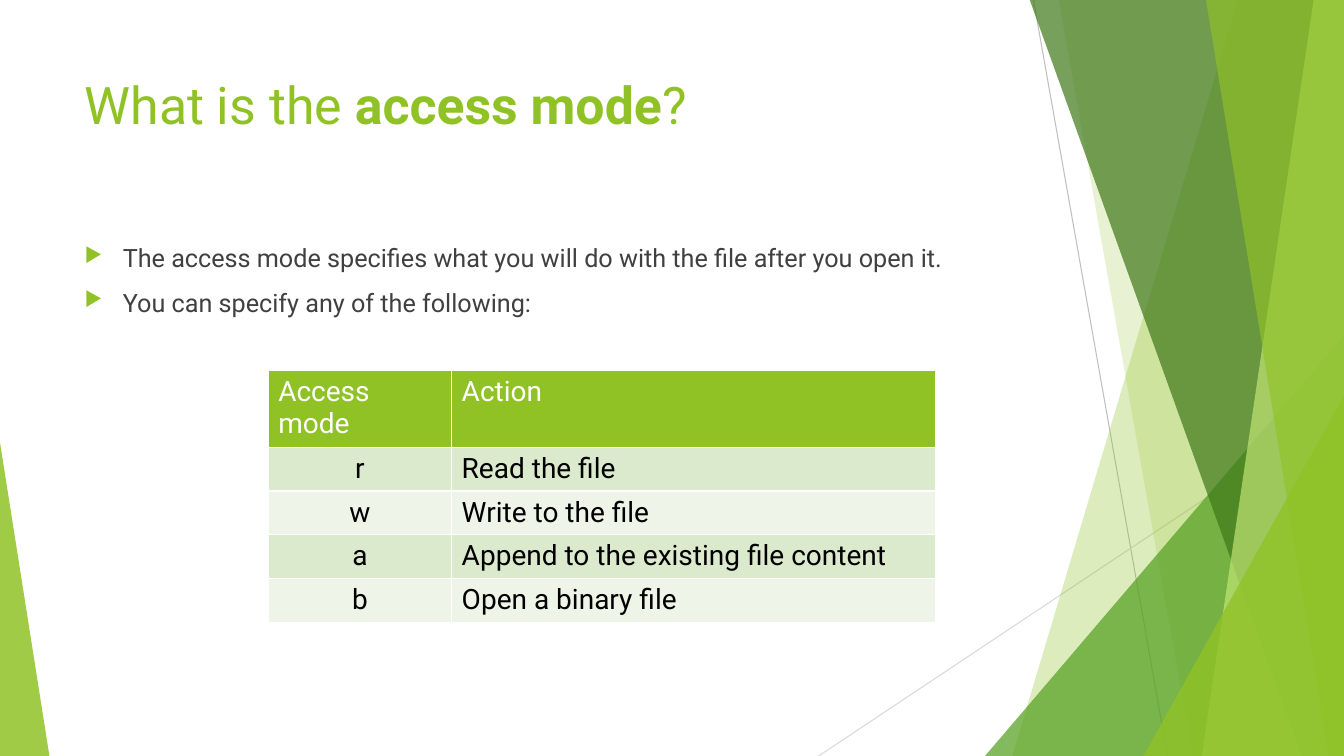
from pptx import Presentation
from pptx.dml.color import RGBColor
from pptx.enum import shapes, text
from pptx.oxml import ns, xmlchemy
from pptx.util import Inches, Pt

FONT = "Roboto"
GREEN = "90C226"
TITLE = [("What is the ", False), ("access mode", True), ("?", False)]
BULLETS = [
    "The access mode specifies what you will do with the file after you open it.",
    "You can specify any of the following:",
]
MODES = [
    ("Access mode", "Action"),
    ("r", "Read the file"),
    ("w", "Write to the file"),
    ("a", "Append to the existing file content"),
    ("b", "Open a binary file"),
]
COLUMN_WIDTHS = (1.82, 4.8)
ROW_HEIGHTS = (0.75, 0.43, 0.43, 0.43, 0.43)
BAND_FILLS = ("EEF4E8", "DBE9CD")

RIGHT, TOP, BOTTOM = 13.33, -0.01, 7.5
LINES = [
    ((10.25, 0), (11.58, BOTTOM), "BFBFBF"),
    ((RIGHT, 4.03), (8.12, BOTTOM), "D9D9D9"),
]
BACK_BANDS = [(12.28, 10.04, GREEN, 30), (10.5, 11.83, GREEN, 20)]
BACK_TRIANGLES = [((9.77, 3.33, 3.56, 4.17), 1, "54A021", 72)]
FRONT_BANDS = [
    (10.21, 12.91, "3F7819", 70),
    (13.03, 11.92, "C0E474", 70),
    (11.96, 13.18, GREEN, 65),
]
FRONT_TRIANGLES = [
    ((11.34, 3.93, 1.99, 3.57), 1, GREEN, 80),
    ((0, 4.39, 0.49, 3.11), 0, GREEN, 85),
]


def color(value):
    return RGBColor.from_string(value)


def add_element(parent, tag, **attributes):
    element = xmlchemy.OxmlElement(tag)
    for name, value in attributes.items():
        element.set(name, str(value))
    parent.append(element)
    return element


def paint(shape, fill, opacity):
    shape.shadow.inherit = False
    shape.fill.solid()
    shape.fill.fore_color.rgb = color(fill)
    tint = shape.fill._xPr.find(ns.qn("a:solidFill"))[0]
    add_element(tint, "a:alpha", val=opacity * 1000)
    shape.line.fill.background()


def add_bands(page, bands):
    for top_x, bottom_x, fill, opacity in bands:
        corners = [(RIGHT, TOP), (RIGHT, BOTTOM), (bottom_x, BOTTOM)]
        outline = page.shapes.build_freeform(Inches(top_x), Inches(TOP))
        outline.add_line_segments([(Inches(x), Inches(y)) for x, y in corners])
        paint(outline.convert_to_shape(), fill, opacity)


def add_triangles(page, triangles):
    for bounds, apex, fill, opacity in triangles:
        triangle = page.shapes.add_shape(
            shapes.MSO_SHAPE.ISOSCELES_TRIANGLE, *map(Inches, bounds))
        triangle.adjustments[0] = apex
        paint(triangle, fill, opacity)


def add_lines(page):
    for start, end, stroke in LINES:
        line = page.shapes.add_connector(
            shapes.MSO_CONNECTOR.STRAIGHT, *map(Inches, start + end))
        line.line.color.rgb = color(stroke)
        line.line.width = Pt(0.75)
        add_element(line._element.spPr, "a:effectLst")


def style(para, size, fill):
    para.font.name = FONT
    para.font.size = Pt(size)
    para.font.color.rgb = color(fill)


def add_title(page):
    title = page.shapes.title
    title.left, title.top = Inches(0.74), Inches(0.67)
    title.width, title.height = Inches(9.4), Inches(1.44)
    frame = title.text_frame
    frame.auto_size = text.MSO_AUTO_SIZE.NONE
    frame.vertical_anchor = text.MSO_ANCHOR.TOP
    para = frame.paragraphs[0]
    para.alignment = text.PP_ALIGN.LEFT
    style(para, 37, GREEN)
    for words, bold in TITLE:
        span = para.add_run()
        span.text = words
        span.font.bold = bold


def add_bullets(page):
    box = page.shapes.add_textbox(*map(Inches, (0.74, 2.36, 9.4, 4.24)))
    frame = box.text_frame
    frame.word_wrap = True
    frame.text = "\n".join(BULLETS)
    for para in frame.paragraphs:
        style(para, 18, "404040")
        para.space_before = Pt(10)
        properties = para._p.get_or_add_pPr()
        properties.set("marL", str(Inches(0.38)))
        properties.set("indent", str(-Inches(0.38)))
        marker = xmlchemy.OxmlElement("a:buClr")
        add_element(marker, "a:srgbClr", val=GREEN)
        size = xmlchemy.OxmlElement("a:buSzPct")
        size.set("val", "80000")
        bullet = xmlchemy.OxmlElement("a:buChar")
        bullet.set("char", "▶")
        defaults = properties.find(ns.qn("a:defRPr"))
        for element in (marker, size, bullet):
            defaults.addprevious(element)


def add_modes(page):
    bounds = (2.66, 3.67, sum(COLUMN_WIDTHS), sum(ROW_HEIGHTS))
    table = page.shapes.add_table(
        len(MODES), len(COLUMN_WIDTHS), *map(Inches, bounds)).table
    for column, width in zip(table.columns, COLUMN_WIDTHS):
        column.width = Inches(width)
    for i, (row, height) in enumerate(zip(table.rows, ROW_HEIGHTS)):
        row.height = Inches(height)
        for j, cell in enumerate(row.cells):
            cell.text = MODES[i][j]
            cell.fill.solid()
            cell.fill.fore_color.rgb = color(BAND_FILLS[i % 2] if i else GREEN)
            para = cell.text_frame.paragraphs[0]
            style(para, 20, "000000" if i else "FFFFFF")
            para.font.bold = False
            if i and j == 0:
                para.alignment = text.PP_ALIGN.CENTER


def main():
    deck = Presentation()
    deck.slide_width, deck.slide_height = Inches(RIGHT), Inches(BOTTOM)
    page = deck.slides.add_slide(deck.slide_layouts[5])
    add_lines(page)
    add_bands(page, BACK_BANDS)
    add_triangles(page, BACK_TRIANGLES)
    add_bands(page, FRONT_BANDS)
    add_triangles(page, FRONT_TRIANGLES)
    add_title(page)
    add_bullets(page)
    add_modes(page)
    deck.save("out.pptx")


if __name__ == "__main__":
    main()
